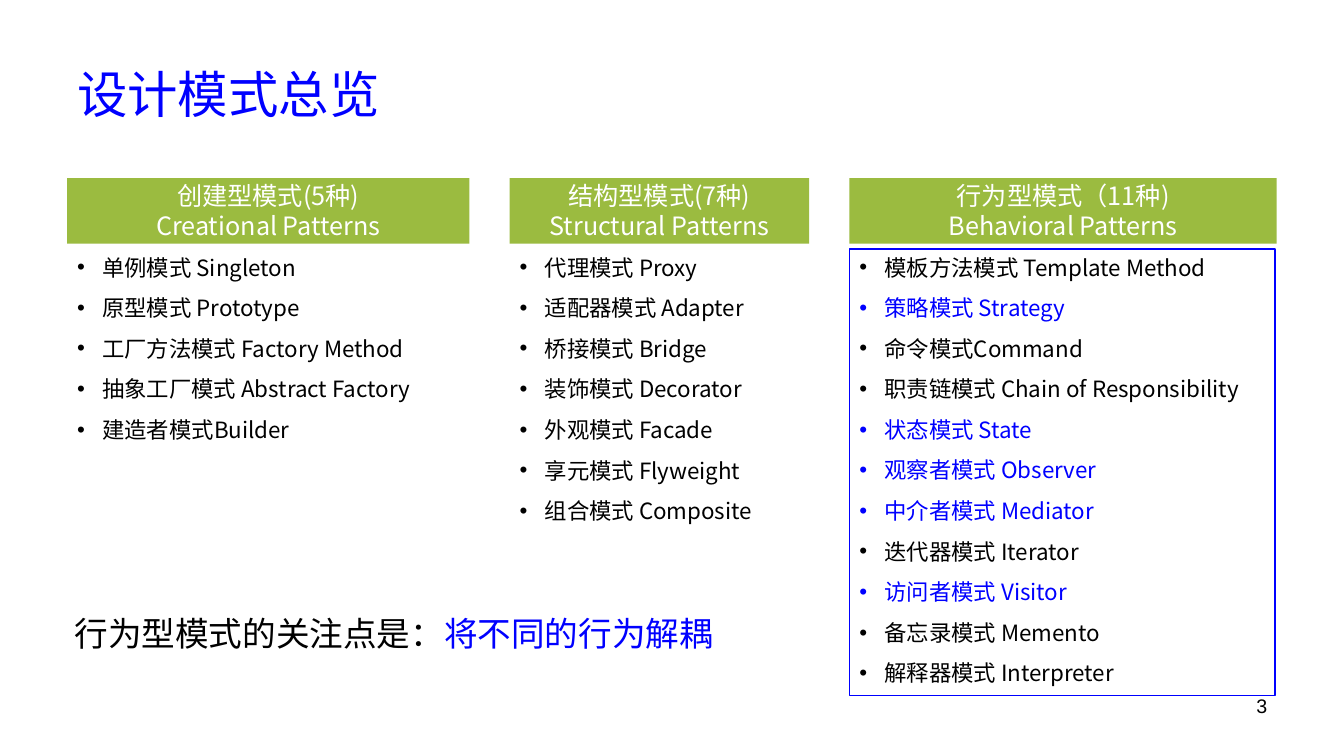
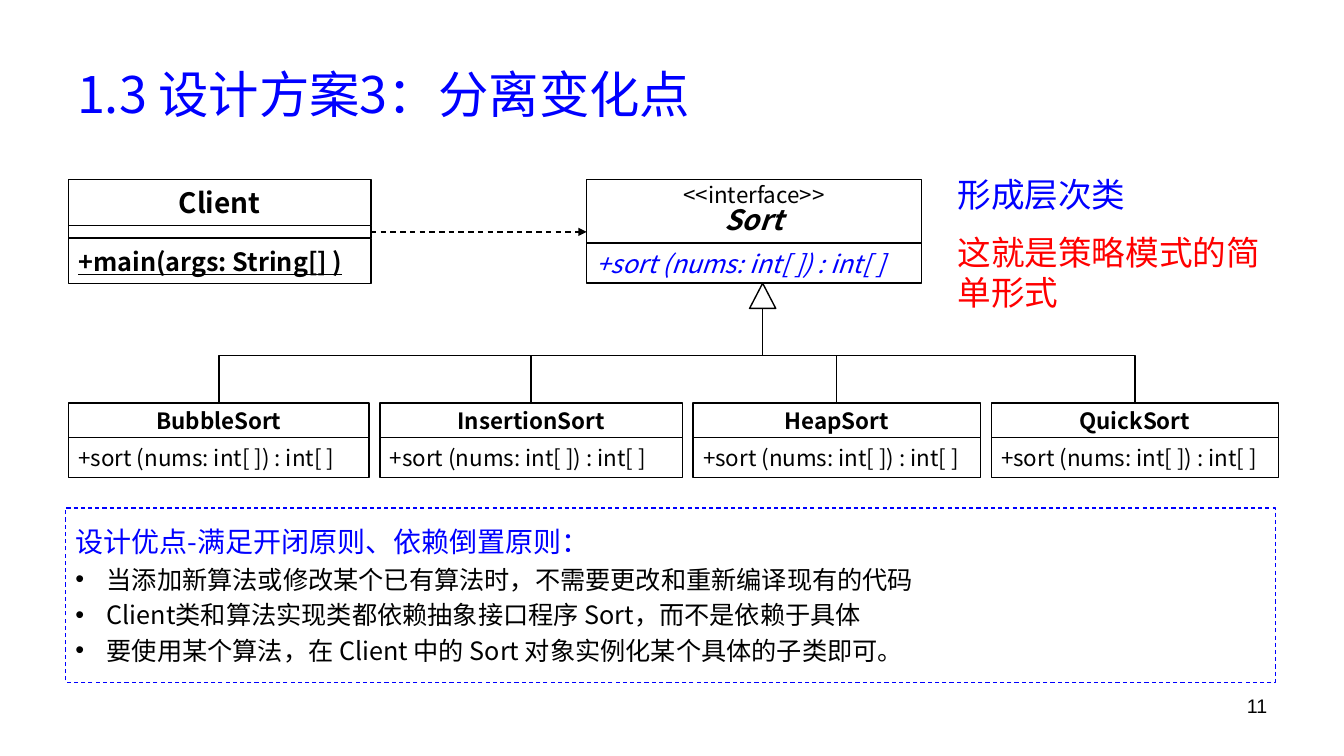
from dataclasses import dataclass, replace

from lxml.etree import SubElement
from pptx import Presentation
from pptx.dml.color import RGBColor as Rgb
from pptx.enum.dml import MSO_LINE_DASH_STYLE as Dash
from pptx.enum.shapes import MSO_CONNECTOR as Link, MSO_SHAPE as Form
from pptx.enum.text import MSO_ANCHOR as Anchor, PP_ALIGN as Align
from pptx.oxml.ns import qn
from pptx.util import Inches, Pt


@dataclass(frozen=True)
class Theme:
    font: str = "Noto Sans CJK SC"
    plain: str = "Arial"
    blue: Rgb = Rgb(0, 0, 255)
    red: Rgb = Rgb(255, 0, 0)
    green: Rgb = Rgb(0x9B, 0xBB, 0x40)
    black: Rgb = Rgb(0, 0, 0)
    white: Rgb = Rgb(255, 255, 255)
    title: int = 36
    note: int = 24
    name: int = 20
    body: int = 18
    item: int = 16
    page: int = 14
    lead: float = 1.19
    tight: float = 1.0


T = Theme()
COLS, ROWS = 80, 45
MARGIN, SPAN = 4, 72
CARD_TOP, CARD_TALL, LIST_TOP = 10.6, 3.9, 14.82


@dataclass(frozen=True)
class Look:
    size: int
    hue: Rgb = T.black
    bold: bool = False
    slope: bool = False
    under: bool = False
    font: str = T.font


ITEM = Look(T.item)
BODY = Look(T.body)
NOTE = Look(T.note, T.blue)
NAME = Look(T.name, bold=True)


def cell(count):
    return Inches(count / 6)


def area(*box):
    return [cell(side) for side in box]


def spread(left, gap, widths):
    for width in widths:
        yield left, width
        left += width + gap


def dress(run, look):
    font = run.font
    font.size, font.name = Pt(look.size), look.font
    font.bold, font.italic, font.underline = look.bold, look.slope, look.under
    font.color.rgb = look.hue
    SubElement(run._r.get_or_add_rPr(), qn("a:ea"), typeface=look.font)


def mark(para, indent):
    props = para._p.get_or_add_pPr()
    props.set("marL", str(Inches(indent)))
    props.set("indent", str(-Inches(indent)))
    SubElement(props, qn("a:buFont"), typeface=T.plain)
    SubElement(props, qn("a:buChar"), char="•")


def write(frame, lines, align=Align.LEFT, anchor=Anchor.TOP, gap=0, dot=0, skip=0, lead=T.lead):
    frame.word_wrap = True
    frame.vertical_anchor = anchor
    frame.text = "\n".join(text for text, look in lines)
    for place, (para, (text, look)) in enumerate(zip(frame.paragraphs, lines)):
        if dot and place >= skip:
            mark(para, dot)
        para.alignment = align
        if place:
            para.space_before = Pt(gap)
        if lead:
            para.line_spacing = Pt(round(look.size * lead, 1))
        for run in para.runs:
            dress(run, look)


def label(slide, box, lines, **style):
    frame = slide.shapes.add_textbox(*area(*box)).text_frame
    write(frame, lines, **style)
    return frame


def block(slide, box, fill=None, edge=None, width=1, form=Form.RECTANGLE):
    shape = slide.shapes.add_shape(form, *area(*box))
    shape.shadow.inherit = False
    if fill is None:
        shape.fill.background()
    else:
        shape.fill.solid()
        shape.fill.fore_color.rgb = fill
    if edge is None:
        shape.line.fill.background()
    else:
        shape.line.color.rgb = edge
        shape.line.width = Pt(width)
    return shape


def join(slide, kind, start, end):
    line = slide.shapes.add_connector(kind, *area(*start, *end))
    line.line.color.rgb = T.black
    line.line.width = Pt(1)
    SubElement(line._element.spPr, qn("a:effectLst"))
    return line


def arrow(slide, start, end):
    line = join(slide, Link.STRAIGHT, start, end)
    line.line.dash_style = Dash.DASH
    SubElement(line.line._get_or_add_ln(), qn("a:tailEnd"), type="triangle")


def branch(slide, start, end):
    mid_x, mid_y = (start[0] + end[0]) / 2, (start[1] + end[1]) / 2
    half, reach = (end[1] - start[1]) / 2, (start[0] - end[0]) / 2
    line = join(slide, Link.ELBOW, (mid_x - half, mid_y - reach), (mid_x + half, mid_y + reach))
    line._element.spPr.find(qn("a:xfrm")).set("rot", str(90 * 60000))


def stack(slide, left, top, width, parts):
    for tall, lines, align in parts:
        shape = block(slide, (left, top, width, tall), T.white, T.black)
        if lines:
            lead = T.tight if len(lines) > 1 else None
            write(shape.text_frame, lines, align, Anchor.MIDDLE, lead=lead)
        top += tall


def start(deck, title, page):
    slide = deck.slides.add_slide(deck.slide_layouts[6])
    label(slide, (MARGIN, 1.8, SPAN, 7.5), [(title, Look(T.title, T.blue))],
          anchor=Anchor.MIDDLE, lead=None)
    label(slide, (57.36, 41, 18.66, 3.1), [(page, Look(T.page, font=T.plain))],
          align=Align.RIGHT, lead=None)
    return slide


def card(slide, left, width, heads, items, hot):
    shape = block(slide, (left, CARD_TOP, width, CARD_TALL), T.green)
    frame = shape.text_frame
    frame.margin_left = frame.margin_right = frame.margin_top = frame.margin_bottom = 0
    head = replace(BODY, hue=T.white)
    write(frame, [(text, head) for text in heads], Align.CENTER, Anchor.MIDDLE)
    lines = [(text, replace(ITEM, hue=T.blue if place in hot else T.black))
             for place, text in enumerate(items)]
    label(slide, (left, LIST_TOP, width, 2.44 * len(items)), lines, gap=10, dot=0.25)


def survey(deck):
    slide = start(deck, "设计模式总览", "3")
    cards = [
        (("创建型模式(5种)", "Creational Patterns"),
         ("单例模式 Singleton", "原型模式 Prototype", "工厂方法模式 Factory Method",
          "抽象工厂模式 Abstract Factory", "建造者模式Builder"), ()),
        (("结构型模式(7种)", "Structural Patterns"),
         ("代理模式 Proxy", "适配器模式 Adapter", "桥接模式 Bridge", "装饰模式 Decorator",
          "外观模式 Facade", "享元模式 Flyweight", "组合模式 Composite"), ()),
        (("行为型模式（11种)", "Behavioral Patterns"),
         ("模板方法模式 Template Method", "策略模式 Strategy", "命令模式Command",
          "职责链模式 Chain of Responsibility", "状态模式 State", "观察者模式 Observer",
          "中介者模式 Mediator", "迭代器模式 Iterator", "访问者模式 Visitor",
          "备忘录模式 Memento", "解释器模式 Interpreter"), (1, 4, 5, 6, 8)),
    ]
    for (left, width), (heads, items, hot) in zip(spread(MARGIN, 2.4, (23.94, 17.82, 25.44)), cards):
        card(slide, left, width, heads, items, hot)
    block(slide, (left, LIST_TOP, width - 0.12, 26.58), edge=T.blue, width=1.25)
    frame = label(slide, (3.84, 36.18, 45.9, 3), [("行为型模式的关注点是：", Look(T.note))])
    run = frame.paragraphs[0].add_run()
    run.text = "将不同的行为解耦"
    dress(run, NOTE)


def design(deck):
    slide = start(deck, "1.3 设计方案3：分离变化点", "11")
    perks = block(slide, (3.9, 30.24, SPAN, 10.38), edge=T.blue, width=0.75)
    perks.line.dash_style = Dash.DASH
    points = ("当添加新算法或修改某个已有算法时，不需要更改和重新编译现有的代码",
              "Client类和算法实现类都依赖抽象接口程序 Sort，而不是依赖于具体",
              "要使用某个算法，在 Client 中的 Sort 对象实例化某个具体的子类即可。")
    lines = [("设计优点-满足开闭原则、依赖倒置原则：", Look(T.name, T.blue))]
    write(perks.text_frame, lines + [(text, BODY) for text in points],
          Align.JUSTIFY, Anchor.MIDDLE, gap=4, dot=0.31, skip=1)

    edge, top, call = 4.08, 10.68, "+sort (nums: int[ ]) : int[ ]"
    stack(slide, edge, top, 18, [
        (2.74, [("Client", NAME)], Align.CENTER),
        (0.76, [], Align.LEFT),
        (2.7, [("+main(args: String[] )", replace(BODY, bold=True, under=True))], Align.LEFT)])
    stack(slide, 34.92, top, 19.92, [
        (3.78, [("<<interface>>", ITEM), ("Sort", replace(NAME, slope=True))], Align.CENTER),
        (2.4, [(call, replace(BODY, hue=T.blue, slope=True))], Align.LEFT)])
    arrow(slide, (edge + 18, 13.8), (34.92, 13.8))

    hub, base, floor = 45.4, 18.36, 24
    block(slide, (hub - 0.78, base - 1.5, 1.56, 1.5), T.white, T.black,
          form=Form.ISOSCELES_TRIANGLE)
    sorts = ("BubbleSort", "InsertionSort", "HeapSort", "QuickSort")
    for (left, width), name in zip(spread(edge, 0.64, (17.9, 18, 17.1, 17.1)), sorts):
        stack(slide, left, floor, width, [
            (2.04, [(name, replace(ITEM, bold=True))], Align.CENTER),
            (2.4, [(call, ITEM)], Align.LEFT)])
        branch(slide, (hub, base), (left + width / 2, floor))

    label(slide, (56.4, 10.08, 19.5, 3), [("形成层次类", NOTE)])
    label(slide, (56.4, 13.5, 19.5, 5.46),
          [("这就是策略模式的简单形式", replace(NOTE, hue=T.red))])


def main():
    deck = Presentation()
    deck.slide_width, deck.slide_height = cell(COLS), cell(ROWS)
    survey(deck)
    design(deck)
    deck.save("out.pptx")


if __name__ == "__main__":
    main()
